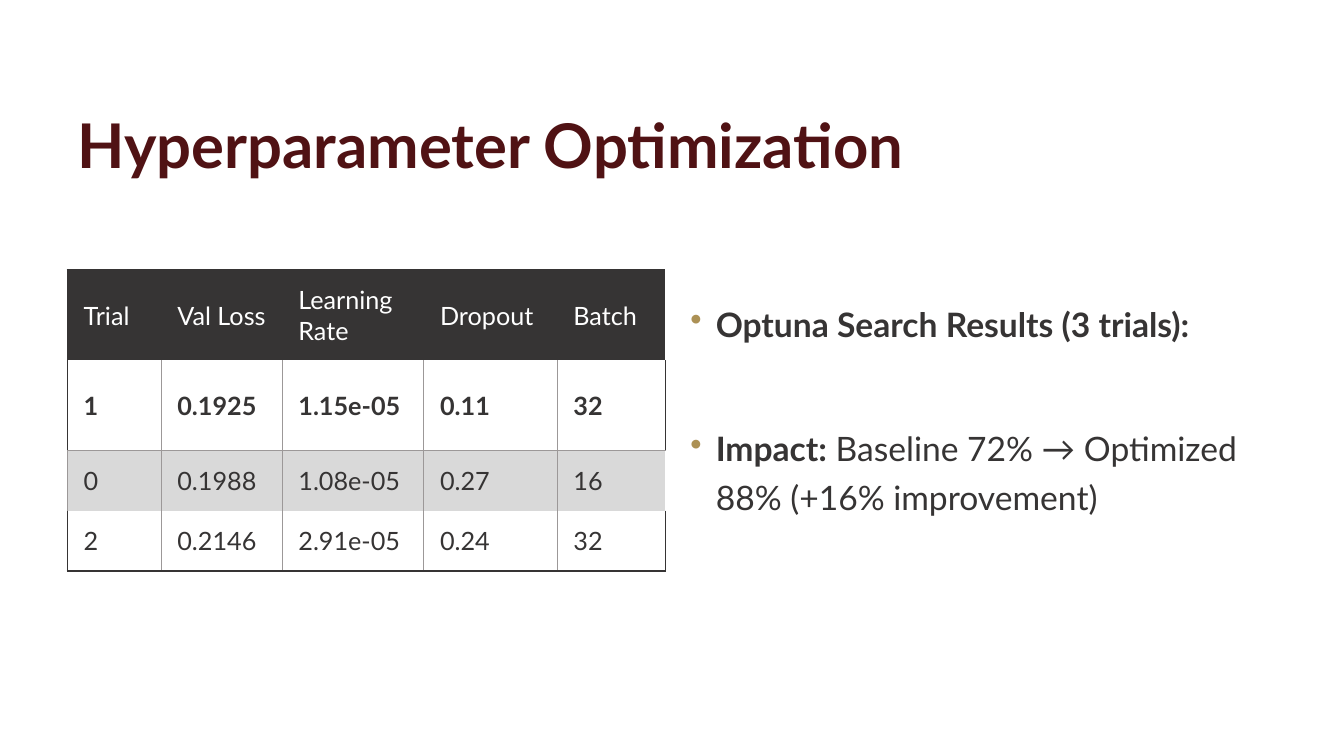
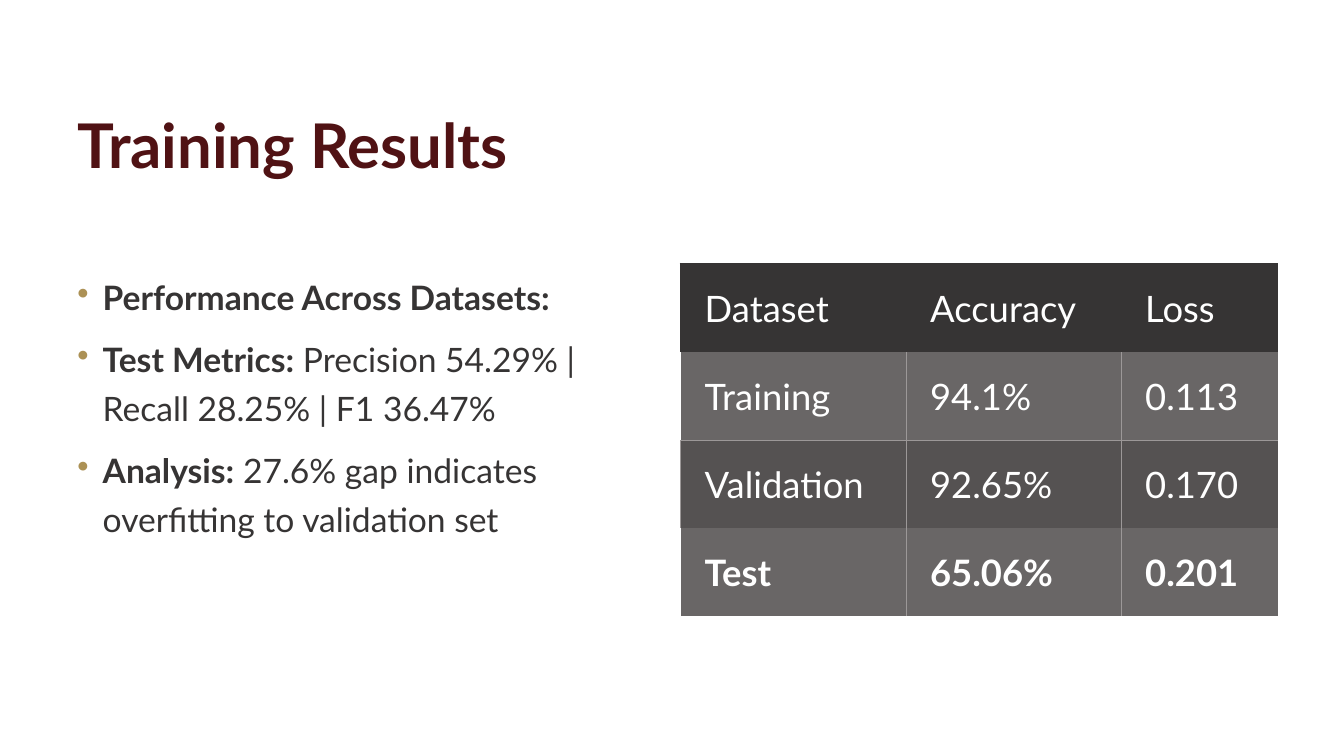
"""Build two slides on model tuning and training results."""
from lxml import etree
from pptx import Presentation
from pptx import util as u
from pptx.dml.color import RGBColor
from pptx.enum import text as t
from pptx.oxml import ns

HUES = {
    "title": "501214", "ink": "363434", "gold": "AC9155", "white": "FFFFFF",
    "rule": "9C9898", "pale": "D9D9D9", "mid": "696666", "deep": "555252",
}
FACE = "Lato"
LEFT, RIGHT, HALF, FULL = 1.7, 17.15, 15.04, 30.48
EDGES = "LRTB"


def hue(name):
    return RGBColor.from_string(HUES[name])


def add_sub(top, tag, **attrs):
    return etree.SubElement(top, ns.qn("a:" + tag), **attrs)


def add_hue(top, name):
    add_sub(top, "srgbClr", val=HUES[name])


def set_font(para, size, name, bold=None):
    font = para.font
    font.name, font.size, font.bold = FACE, u.Pt(size), bold
    font.color.rgb = hue(name)


def add_box(slide, x, y, w, h):
    frame = slide.shapes.add_textbox(u.Cm(x), u.Cm(y), u.Cm(w), u.Cm(h)).text_frame
    frame.word_wrap = True
    return frame


def add_title(slide, words):
    frame = add_box(slide, LEFT, 1.02, FULL, 3.68)
    frame.vertical_anchor = t.MSO_ANCHOR.BOTTOM
    para = frame.paragraphs[0]
    para.text = words
    para.line_spacing = 0.9
    set_font(para, 44, "title", True)


def add_points(slide, x, y, h, points, gap):
    frame = add_box(slide, x, y, HALF, h)
    for i, (lead, rest) in enumerate(points):
        para = frame.add_paragraph() if i else frame.paragraphs[0]
        props = para._p.get_or_add_pPr()
        dent = u.Cm(0.64)
        props.set("marL", str(dent))
        props.set("indent", str(-dent))
        add_hue(add_sub(props, "buClr"), "gold")
        add_sub(props, "buChar", char="•")
        para.line_spacing = 1.2
        para.space_before = u.Pt(gap if i else 0)
        set_font(para, 24, "ink")
        for words, bold in ((lead, True), (rest, False)):
            if words:
                run = para.add_run()
                run.text, run.font.bold = words, bold


def pick_edges(row, col, rows, cols, fill):
    """Return the border colour of each visible cell edge."""
    if row == 0:
        return {"T": "ink", "L": "ink"} if col == 0 else {"T": "ink"}
    outer = None if fill else "ink"
    edges = {
        "L": "rule" if col or row == 2 else outer,
        "R": "rule" if col < cols - 1 else outer,
    }
    if row == 1:
        edges["B"] = "rule"
    elif row == 2:
        edges["T"] = "rule"
    if row == rows - 1:
        edges["B"] = outer
    return edges


def draw_edges(cell, edges):
    props = cell._tc.get_or_add_tcPr()
    for side in EDGES:
        name = edges.get(side)
        width = u.Pt(1.5 if name == "ink" else 0.5)
        line = add_sub(props, "ln" + side, w=str(width))
        if name:
            add_hue(add_sub(line, "solidFill"), name)
        else:
            add_sub(line, "noFill")


def add_grid(slide, x, y, data, wides, highs, fills, size, pads, ink, strong):
    rows, cols = len(data), len(wides)
    shape = slide.shapes.add_table(
        rows, cols, u.Cm(x), u.Cm(y), u.Cm(sum(wides)), u.Cm(sum(highs)))
    grid = shape.table
    grid.horz_banding = False
    for col, wide in zip(grid.columns, wides):
        col.width = u.Cm(wide)
    for r, (line, high, fill) in enumerate(zip(data, highs, fills)):
        grid.rows[r].height = u.Cm(high)
        for c, words in enumerate(line):
            cell = grid.cell(r, c)
            draw_edges(cell, pick_edges(r, c, rows, cols, fill))
            if fill:
                cell.fill.solid()
                cell.fill.fore_color.rgb = hue(fill)
            else:
                cell.fill.background()
            cell.vertical_anchor = t.MSO_ANCHOR.MIDDLE
            cell.margin_left = u.Cm(pads[0])
            cell.margin_right = cell.margin_top = cell.margin_bottom = u.Cm(pads[1])
            para = cell.text_frame.paragraphs[0]
            para.text = words
            set_font(para, size, ink if r else "white", r == strong)


def add_tuning(slide):
    add_title(slide, "Hyperparameter Optimization")
    add_points(slide, RIGHT, 7.32, 9.86, [
        ("Optuna Search Results (3 trials):", ""),
        ("Impact:", " Baseline 72% → Optimized 88% (+16% improvement)"),
    ], gap=54.5)
    add_grid(slide, LEFT, 6.81, [
        ("Trial", "Val Loss", "Learning Rate", "Dropout", "Batch"),
        ("1", "0.1925", "1.15e-05", "0.11", "32"),
        ("0", "0.1988", "1.08e-05", "0.27", "16"),
        ("2", "0.2146", "2.91e-05", "0.24", "32"),
    ], wides=(2.36, 3.05, 3.57, 3.36, 2.73), highs=(2.27, 2.27, 1.52, 1.52),
        fills=("ink", None, "pale", None), size=18, pads=(0.41, 0.33),
        ink="ink", strong=1)


def add_results(slide):
    add_title(slide, "Training Results")
    add_points(slide, LEFT, 6.65, 12.14, [
        ("Performance Across Datasets:", ""),
        ("Test Metrics:", " Precision 54.29% | Recall 28.25% | F1 36.47%"),
        ("Analysis:", " 27.6% gap indicates overfitting to validation set"),
    ], gap=10)
    add_grid(slide, RIGHT, 6.65, [
        ("Dataset", "Accuracy", "Loss"),
        ("Training", "94.1%", "0.113"),
        ("Validation", "92.65%", "0.170"),
        ("Test", "65.06%", "0.201"),
    ], wides=(5.68, 5.42, 3.95), highs=(2.22,) * 4,
        fills=("ink", "mid", "deep", "mid"), size=26, pads=(0.61, 0.46),
        ink="white", strong=3)


def main():
    deck = Presentation()
    deck.slide_width, deck.slide_height = u.Cm(33.87), u.Cm(19.05)
    for build in (add_tuning, add_results):
        build(deck.slides.add_slide(deck.slide_layouts[6]))
    deck.save("out.pptx")


if __name__ == "__main__":
    main()
